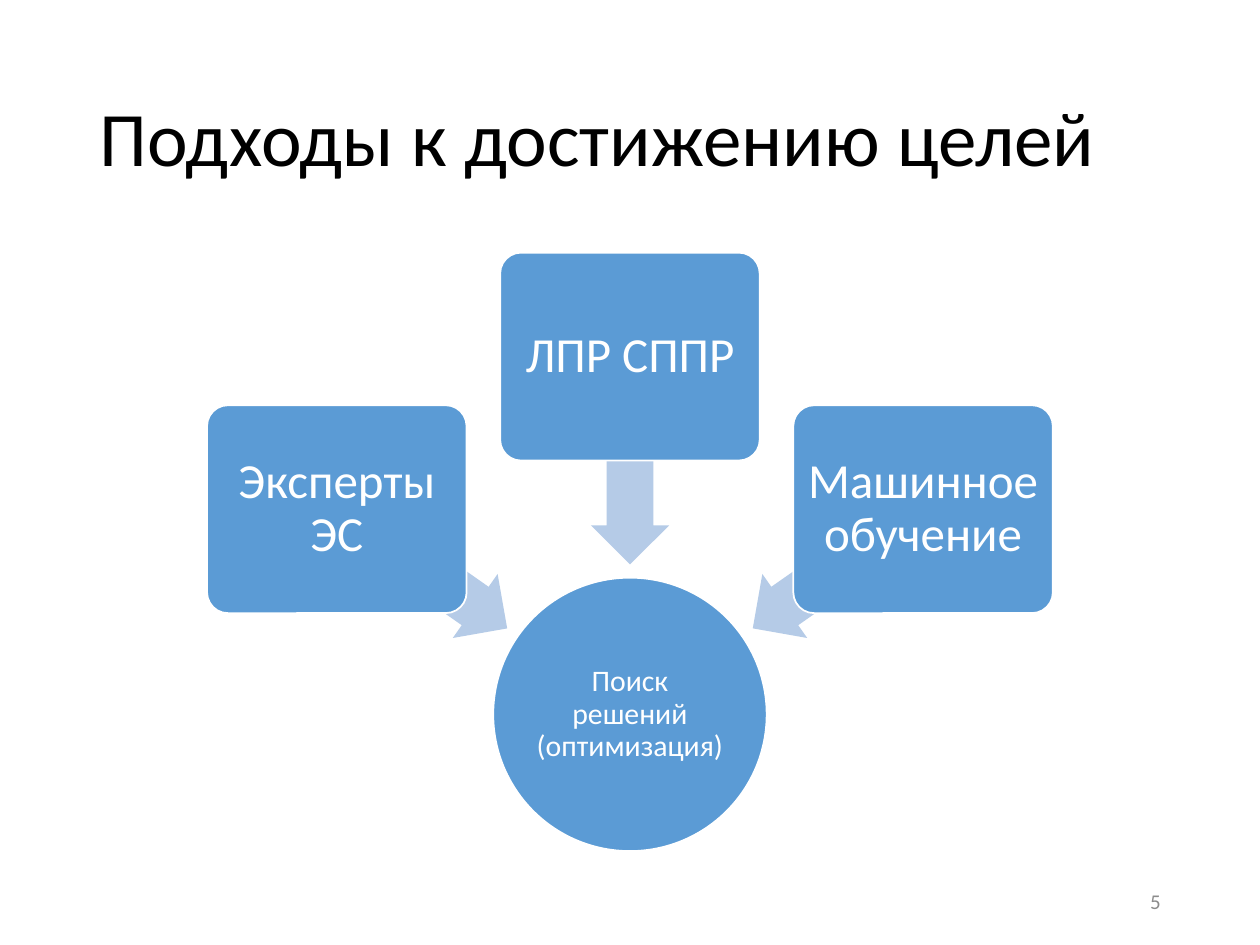
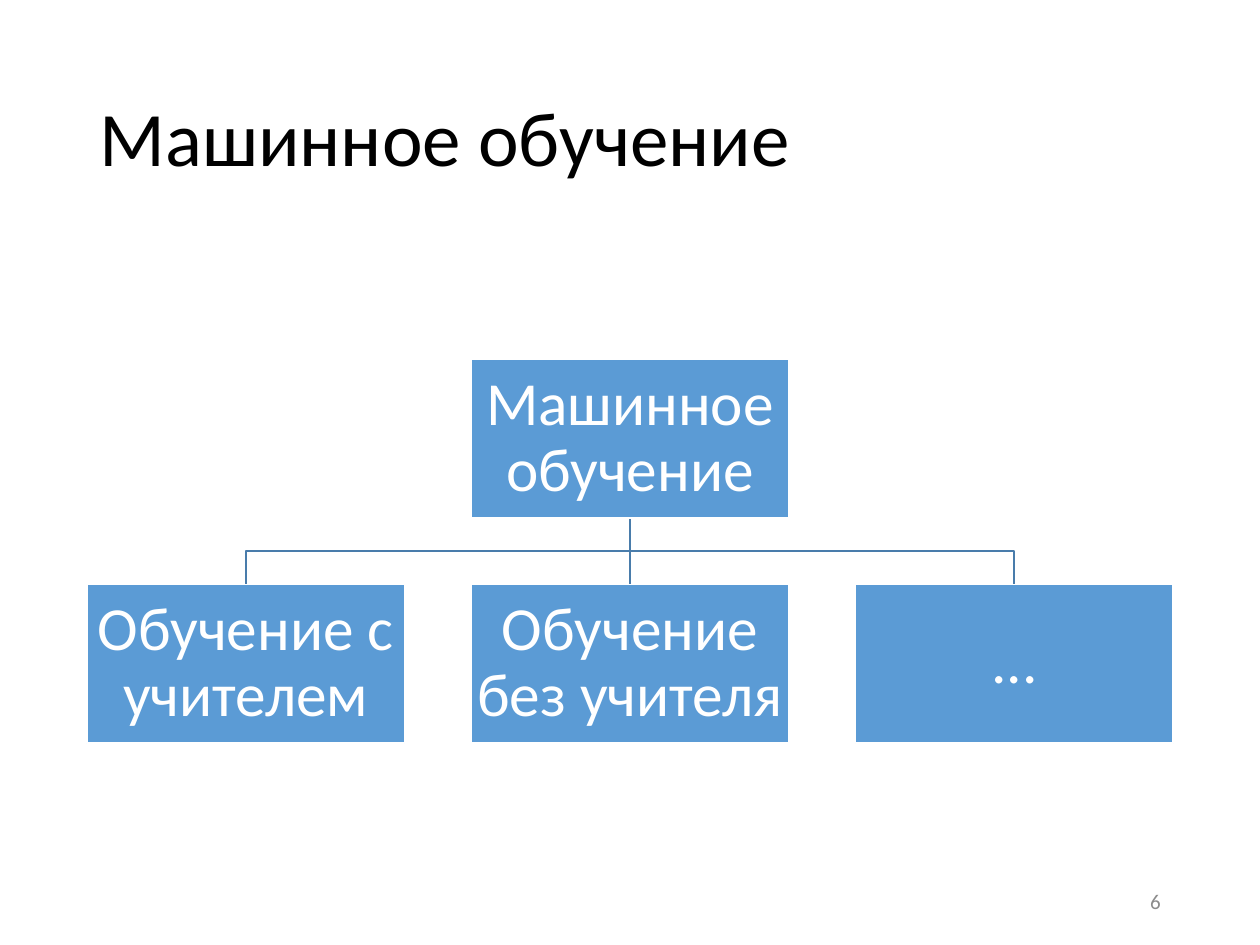
import math

import pptx
import pptx.dml.color
import pptx.enum.shapes
import pptx.enum.text
import pptx.oxml
import pptx.util

SHAPE = pptx.enum.shapes.MSO_SHAPE
ALIGN = pptx.enum.text.PP_ALIGN
MIDDLE = pptx.enum.text.MSO_ANCHOR.MIDDLE

WIDTH, HEIGHT = pptx.util.Inches(10), pptx.util.Inches(7.5)
FONT = "Calibri"
COLORS = {
    "title": "000000",
    "node": "5B9BD5",
    "arrow": "B5CBE7",
    "branch": "497CAB",
    "light": "FFFFFF",
    "number": "8C8C8C",
}

# All lengths are percentages of the slide's width.
MARGIN = 6.9
CONTENT = 100 - 2 * MARGIN
CENTER = 50


def share(percent):
    return round(WIDTH * percent / 100)


def color(name):
    return pptx.dml.color.RGBColor.from_string(COLORS[name])


def set_attributes(target, formats):
    for name, value in formats.items():
        setattr(target, name, value)


def box(left, top, width, height):
    return [share(length) for length in (left, top, width, height)]


def centered_box(x, y, width, height):
    return box(x - width / 2, y - height / 2, width, height)


def write(shape, text, size, color_name, alignment, inset=None, spacing=0.9):
    frame = shape.text_frame
    set_attributes(frame, {"text": text, "word_wrap": True, "vertical_anchor": MIDDLE})
    if inset is not None:
        sides = ("left", "top", "right", "bottom")
        set_attributes(frame, {f"margin_{side}": share(inset) for side in sides})
    paragraph = frame.paragraphs[0]
    set_attributes(paragraph, {"alignment": alignment, "line_spacing": spacing})
    set_attributes(paragraph.font, {"name": FONT, "size": pptx.util.Pt(size)})
    paragraph.font.color.rgb = color(color_name)


def set_line(line, color_name):
    line.color.rgb = color(color_name)
    line.width = pptx.util.Pt(1)


def add_filled(slide, kind, place, fill, adjustments=()):
    shape = slide.shapes.add_shape(kind, *place)
    shape.shadow.inherit = False
    shape.fill.solid()
    shape.fill.fore_color.rgb = color(fill)
    shape.line.fill.background()
    for index, value in enumerate(adjustments):
        shape.adjustments[index] = value
    return shape


def add_node(slide, kind, place, text, size, inset, adjustments=()):
    node = add_filled(slide, kind, place, "node", adjustments)
    set_line(node.line, "light")
    write(node, text, size, "light", ALIGN.CENTER, inset)
    return node


def add_titled_slide(presentation, title, number):
    slide = presentation.slides.add_slide(presentation.slide_layouts[5])
    heading = slide.shapes.title
    left, top, width, height = box(MARGIN, 4, CONTENT, 14.5)
    set_attributes(heading, {"left": left, "top": top, "width": width, "height": height})
    write(heading, title, 44, "title", ALIGN.LEFT)
    number_width = 22.5
    place = box(100 - MARGIN - number_width, 69.5, number_width, 4)
    number_box = slide.shapes.add_textbox(*place)
    write(number_box, str(number), 12, "number", ALIGN.RIGHT, spacing=1)
    return slide


def add_converging_diagram(slide, goal, approaches):
    """Put approaches on an arc above the goal, each with an arrow towards it."""
    goal_y, node_radius, arrow_radius = 56.7, 28.4, 20.2
    first_angle, angle_step = 215, 55

    def on_arc(radius, angle):
        radians = math.radians(angle)
        return CENTER + radius * math.cos(radians), goal_y + radius * math.sin(radians)

    add_node(slide, SHAPE.OVAL, centered_box(CENTER, goal_y, 21.7, 21.7), goal, 17, 0.1)
    for index, approach in enumerate(approaches):
        angle = first_angle + index * angle_step
        place = centered_box(*on_arc(arrow_radius, angle), 16.6, 6.2)
        arrow = add_filled(slide, SHAPE.LEFT_ARROW, place, "arrow", (0.6, 0.5))
        arrow.rotation = angle
        place = centered_box(*on_arc(node_radius, angle), 20.6, 16.5)
        add_node(slide, SHAPE.ROUNDED_RECTANGLE, place, approach, 28, 0.6, (0.1,))


def add_trunk(slide, top, bottom):
    straight = pptx.enum.shapes.MSO_CONNECTOR.STRAIGHT
    x = share(CENTER)
    trunk = slide.shapes.add_connector(straight, x, share(top), x, share(bottom))
    set_line(trunk.line, "branch")
    properties = trunk.element.spPr
    properties.append(pptx.oxml.parse_xml(
        '<a:effectLst xmlns:a="http://schemas.openxmlformats.org/drawingml/2006/main"/>'))
    return trunk


def add_branch(slide, x, top, bottom):
    """Draw an open bent line from the parent down to a child at x."""
    bend = (top + bottom) / 2
    points = [(CENTER, bend), (x, bend), (x, bottom)]
    builder = slide.shapes.build_freeform(share(CENTER), share(top))
    builder.add_line_segments([(share(a), share(b)) for a, b in points], close=False)
    branch = builder.convert_to_shape()
    branch.shadow.inherit = False
    branch.fill.background()
    set_line(branch.line, "branch")


def add_hierarchy(slide, parent, children):
    node_width, node_height, row_gap = 25.2, 12.6, 5.3
    parent_top = 28.5
    parent_bottom = parent_top + node_height
    child_top = parent_bottom + row_gap
    column_step = (CONTENT - node_width) / (len(children) - 1)
    columns = [MARGIN + index * column_step for index in range(len(children))]
    middle = len(children) // 2

    for index, left in enumerate(columns):
        if index != middle:
            add_branch(slide, left + node_width / 2, parent_bottom, child_top)
    trunk = add_trunk(slide, parent_bottom, child_top)

    def add_cell(left, top, text):
        place = box(left, top, node_width, node_height)
        return add_node(slide, SHAPE.RECTANGLE, place, text, 35, 0.2)

    parent_node = add_cell(columns[middle], parent_top, parent)
    child_nodes = [add_cell(left, child_top, text) for left, text in zip(columns, children)]
    trunk.begin_connect(parent_node, 2)
    trunk.end_connect(child_nodes[middle], 0)


def main():
    presentation = pptx.Presentation()
    set_attributes(presentation, {"slide_width": WIDTH, "slide_height": HEIGHT})

    slide = add_titled_slide(presentation, "Подходы к достижению целей", 5)
    add_converging_diagram(slide, "Поиск решений (оптимизация)",
                           ["Эксперты ЭС", "ЛПР СППР", "Машинное обучение"])

    slide = add_titled_slide(presentation, "Машинное обучение", 6)
    add_hierarchy(slide, "Машинное обучение",
                  ["Обучение с учителем", "Обучение без учителя", "..."])

    presentation.save("out.pptx")


if __name__ == "__main__":
    main()
